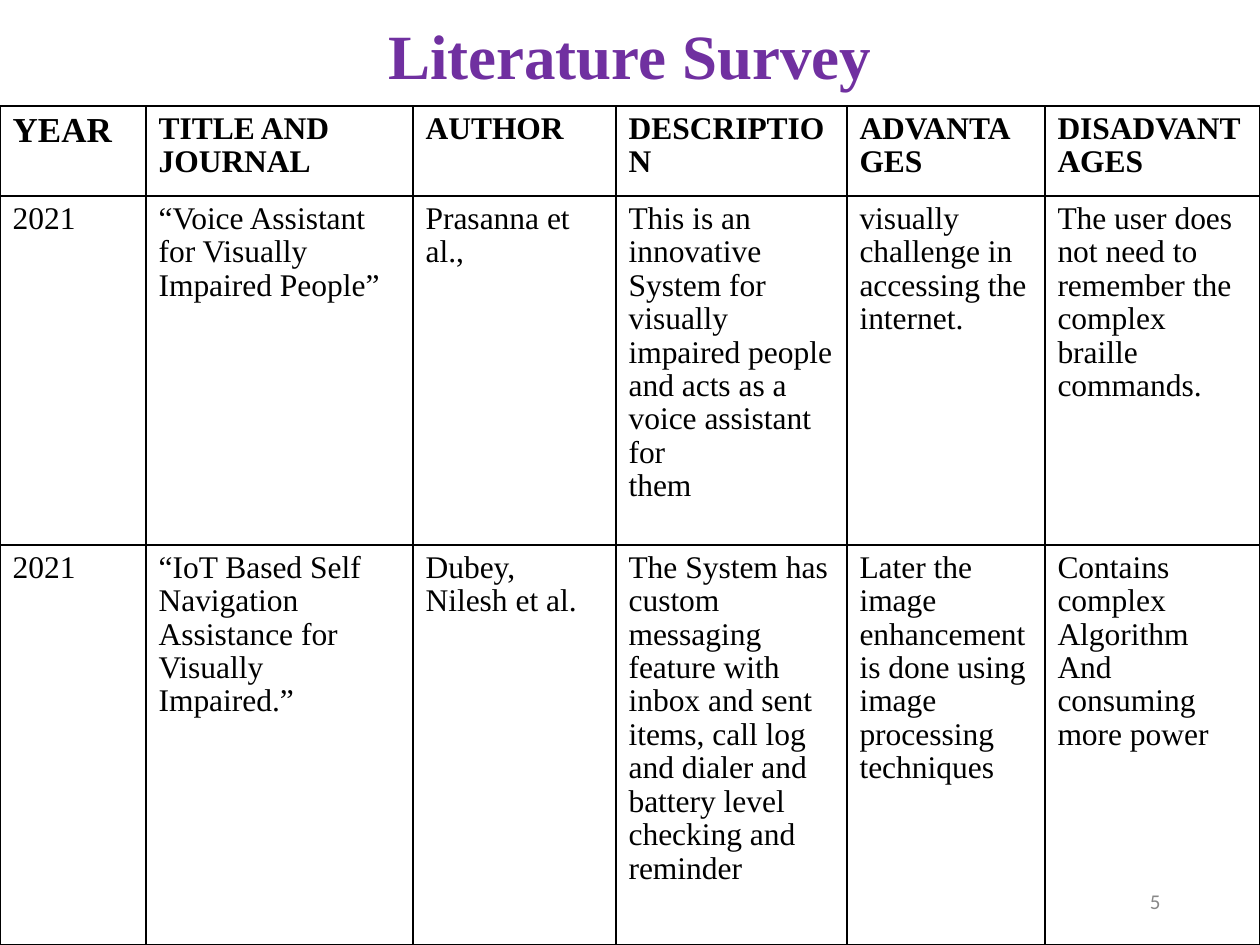
from lxml.etree import SubElement
from pptx import Presentation
from pptx.dml.color import RGBColor
from pptx.enum.text import MSO_ANCHOR, PP_ALIGN
from pptx.oxml.ns import qn
from pptx.util import Emu, Pt

PX = 914400 / 126
COLORS = {"title": "7030A0", "text": "000000", "number": "888888", "border": "000000"}
COLUMN_WIDTHS = [146, 267, 203, 231, 198, 215]
ROW_HEIGHTS = [90, 349, 400]
ROWS = [
    ["YEAR", "TITLE AND JOURNAL", "AUTHOR", "DESCRIPTION", "ADVANTAGES", "DISADVANTAGES"],
    [
        "2021",
        "“Voice Assistant for Visually Impaired People”",
        "Prasanna et al.,",
        "This is an innovative System for visually impaired people and acts as a voice assistant for \nthem",
        "visually challenge in accessing the internet.",
        "The user does not need to remember the complex braille commands.",
    ],
    [
        "2021",
        "“IoT Based Self Navigation Assistance for Visually Impaired.”",
        "Dubey, Nilesh et al.",
        "The System has custom messaging feature with inbox and sent items, call log and dialer "
        "and battery level checking and reminder",
        "Later the image enhancement is done using image processing techniques",
        "Contains complex\nAlgorithm\nAnd consuming more power",
    ],
]


def px(*lengths):
    """Convert pixel lengths to EMU."""
    return [Emu(round(length * PX)) for length in lengths]


def write_text(frame, text, size=18, color="text", font="Times New Roman",
               bold=False, align=PP_ALIGN.LEFT, spacing=None):
    frame.word_wrap = True
    for index, line in enumerate(text.split("\n")):
        paragraph = frame.add_paragraph() if index else frame.paragraphs[0]
        paragraph.alignment = align
        paragraph.line_spacing = spacing
        run = paragraph.add_run()
        run.text = line
        run.font.size = Pt(size)
        run.font.name = font
        run.font.bold = bold
        run.font.color.rgb = RGBColor.from_string(COLORS[color])


presentation = Presentation()
presentation.slide_width, presentation.slide_height = px(1260, 945)
slide = presentation.slides.add_slide(presentation.slide_layouts[5])

title = slide.shapes.title
title.left, title.top, title.width, title.height = px(87, 23, 1086, 73)
title.text_frame.vertical_anchor = MSO_ANCHOR.MIDDLE
write_text(title.text_frame, "Literature Survey", size=36, color="title", bold=True,
           align=PP_ALIGN.CENTER, spacing=0.9)

number = slide.shapes.add_textbox(*px(890, 876, 283, 50))
number.text_frame.vertical_anchor = MSO_ANCHOR.MIDDLE
write_text(number.text_frame, "5", size=12, color="number", font="Calibri", align=PP_ALIGN.RIGHT)

table = slide.shapes.add_table(
    len(ROWS), len(COLUMN_WIDTHS), *px(0, 106, sum(COLUMN_WIDTHS), sum(ROW_HEIGHTS))
).table
table.first_row = table.horz_banding = False
for column, width in zip(table.columns, px(*COLUMN_WIDTHS)):
    column.width = width
for row, height in zip(table.rows, px(*ROW_HEIGHTS)):
    row.height = height

for row_index, texts in enumerate(ROWS):
    for column_index, text in enumerate(texts):
        cell = table.cell(row_index, column_index)
        size = 20 if text == "YEAR" else 18
        write_text(cell.text_frame, text, size=size, bold=row_index == 0, spacing=0.96)
        properties = cell._tc.get_or_add_tcPr()
        for side in ("a:lnL", "a:lnR", "a:lnT", "a:lnB"):
            border = SubElement(properties, qn(side), w=str(Pt(1)))
            fill = SubElement(border, qn("a:solidFill"))
            SubElement(fill, qn("a:srgbClr"), val=COLORS["border"])
        cell.fill.background()

presentation.save("out.pptx")
